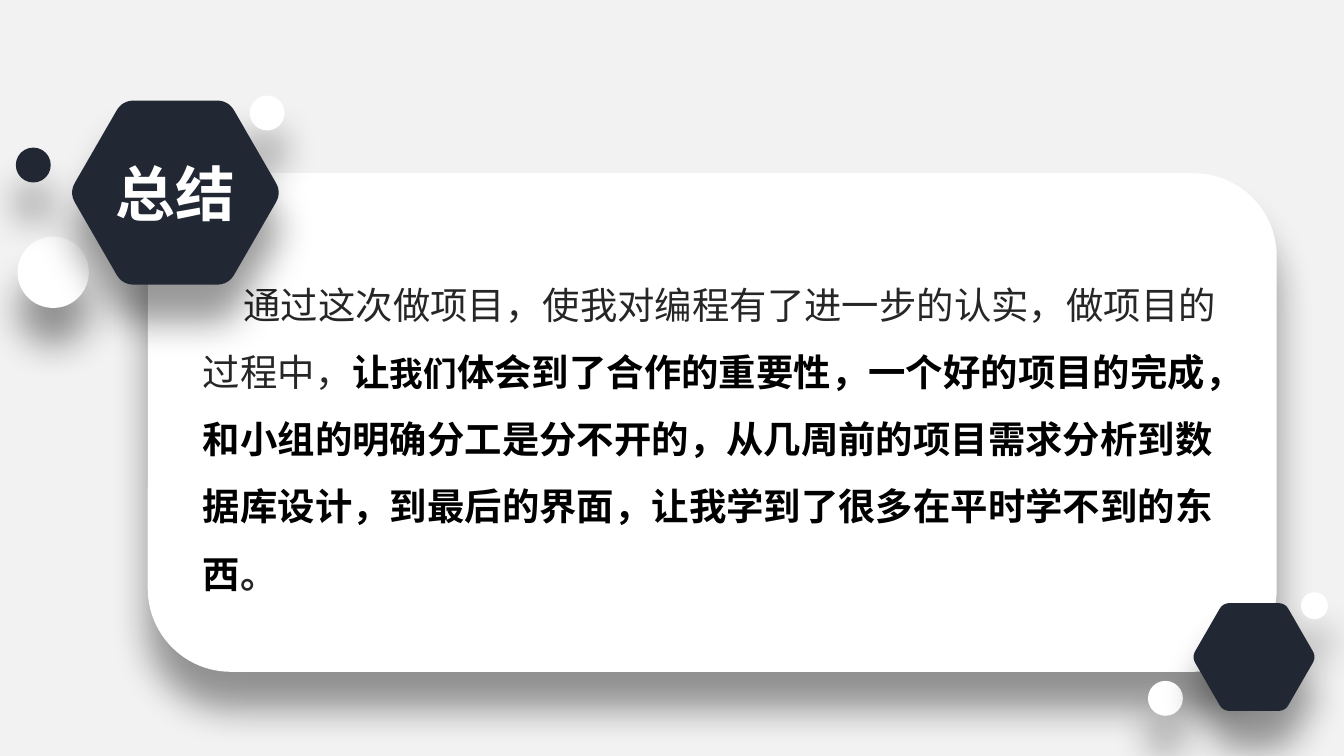
from dataclasses import dataclass
from math import cos, pi, sin

from pptx import Presentation
from pptx.dml.color import RGBColor
from pptx.enum.shapes import MSO_SHAPE
from pptx.enum.text import MSO_ANCHOR, MSO_AUTO_SIZE, PP_ALIGN
from pptx.oxml.ns import qn
from pptx.util import Pt
from lxml import etree

ROUNDED = MSO_SHAPE.ROUNDED_RECTANGLE
OVAL = MSO_SHAPE.OVAL
MIDDLE = MSO_ANCHOR.MIDDLE
TOP = MSO_ANCHOR.TOP
CENTER = PP_ALIGN.CENTER
LEFT = PP_ALIGN.LEFT
NO_AUTOFIT = MSO_AUTO_SIZE.NONE


@dataclass(frozen=True)
class Theme:
    background: str = "F2F2F2"
    white: str = "FFFFFF"
    navy: str = "212834"
    grey: str = "262626"
    black: str = "000000"
    latin: str = "Calibri"
    chinese: str = "Noto Sans CJK SC"
    title_size: int = 32
    body_size: int = 20
    small_size: int = 18
    line_pitch: int = 36
    shadow_alpha: int = 40
    shadow_blur: int = 20
    shadow_distance: int = 20
    shadow_angle: int = 90


class SlideBuilder:
    def __init__(self, slide, theme):
        self.slide = slide
        self.theme = theme
        fill = slide.background.fill
        fill.solid()
        fill.fore_color.rgb = RGBColor.from_string(theme.background)

    def finish(self, shape, color):
        shape.fill.solid()
        shape.fill.fore_color.rgb = RGBColor.from_string(color)
        shape.line.fill.background()
        shape.shadow.inherit = False
        theme = self.theme
        effects = shape._element.spPr.find(qn("a:effectLst"))
        shadow = etree.SubElement(
            effects, qn("a:outerShdw"),
            blurRad=str(Pt(theme.shadow_blur)),
            dist=str(Pt(theme.shadow_distance)),
            dir=str(theme.shadow_angle * 60000),
            algn="t", rotWithShape="0")
        tint = etree.SubElement(shadow, qn("a:srgbClr"), val=theme.black)
        etree.SubElement(tint, qn("a:alpha"), val=str(theme.shadow_alpha * 1000))

    def preset(self, kind, left, top, width, height, color):
        shape = self.slide.shapes.add_shape(
            kind, Pt(left), Pt(top), Pt(width), Pt(height))
        self.finish(shape, color)

    def circle(self, left, top, diameter, color):
        self.preset(OVAL, left, top, diameter, diameter, color)

    def hexagon(self, center_x, center_y, radius, color, rounding=0.11, steps=8):
        corners = [(center_x + radius * cos(i * pi / 3),
                    center_y + radius * sin(i * pi / 3)) for i in range(6)]
        outline = []
        for i, corner in enumerate(corners):
            before, after = corners[i - 1], corners[(i + 1) % 6]
            for step in range(steps + 1):
                t = step / steps
                toward_before = rounding * (1 - t) ** 2
                toward_after = rounding * t ** 2
                outline.append(tuple(
                    Pt(c + toward_before * (b - c) + toward_after * (a - c))
                    for b, c, a in zip(before, corner, after)))
        builder = self.slide.shapes.build_freeform(*outline[0])
        builder.add_line_segments(outline[1:], close=True)
        self.finish(builder.convert_to_shape(), color)

    def text(self, placeholder, box, runs, align, anchor, pitch=None, indent=0):
        self.slide.shapes._spTree.append(placeholder._element)
        placeholder.left, placeholder.top, placeholder.width, placeholder.height = map(Pt, box)
        frame = placeholder.text_frame
        frame.word_wrap = True
        frame.auto_size = NO_AUTOFIT
        frame.vertical_anchor = anchor
        frame.margin_left = frame.margin_right = Pt(7.2)
        frame.margin_top = frame.margin_bottom = Pt(3.6)
        paragraph = frame.paragraphs[0]
        paragraph.alignment = align
        paragraph.space_before = Pt(0)
        if pitch:
            paragraph.line_spacing = Pt(pitch)
        properties = paragraph._p.get_or_add_pPr()
        properties.set("marL", "0")
        properties.set("indent", str(Pt(indent)))
        etree.SubElement(properties, qn("a:buNone"))
        for words, size, face, color, bold in runs:
            run = paragraph.add_run()
            run.text = words
            font = run.font
            font.size = Pt(size)
            font.bold = bold
            font.name = face
            font.color.rgb = RGBColor.from_string(color)
            latin = run._r.rPr.find(qn("a:latin"))
            latin.addnext(latin.makeelement(
                qn("a:ea"), {"typeface": self.theme.chinese}))


def main():
    theme = Theme()
    deck = Presentation()
    deck.slide_width, deck.slide_height = Pt(720), Pt(405)
    slide = deck.slides.add_slide(deck.slide_layouts[1])
    title, body = slide.placeholders
    summary = SlideBuilder(slide, theme)

    summary.preset(ROUNDED, 79.2, 92.8, 604.8, 267.1, theme.white)
    for left, top, diameter, color in (
        (9.4, 126.8, 38.2, theme.white),
        (8.5, 79.1, 18.7, theme.navy),
        (133.8, 51.2, 18.7, theme.white),
        (615, 364.8, 18.7, theme.white),
        (697, 317.3, 14.4, theme.white),
    ):
        summary.circle(left, top, diameter, color)

    summary.text(body, (101.5, 135.4, 573.1, 221), [
        ("通过这次做项目，使我对编程有了进一步的认实，做项目的过程中，",
         theme.body_size, theme.chinese, theme.grey, False),
        ("让", theme.body_size, theme.latin, theme.black, True),
        ("我们", theme.small_size, theme.chinese, theme.black, True),
        ("体会到了合作的重要性，一个好的项目的完成，和小组的明确分工是分不开的，"
         "从几周前的项目需求分析到数据库设计，到最后的界面，让我学到了很多在平时学不到的东西",
         theme.body_size, theme.latin, theme.black, True),
        ("。", theme.body_size, theme.chinese, theme.grey, True),
    ], LEFT, TOP, pitch=theme.line_pitch, indent=21.8)

    summary.hexagon(94, 103.2, 56.9, theme.navy)
    summary.text(title, (54, 79.9, 79.9, 46.1), [
        ("总结", theme.title_size, theme.chinese, theme.white, True),
    ], CENTER, MIDDLE)
    summary.hexagon(671.8, 352, 33.3, theme.navy)

    deck.save("out.pptx")


if __name__ == "__main__":
    main()
